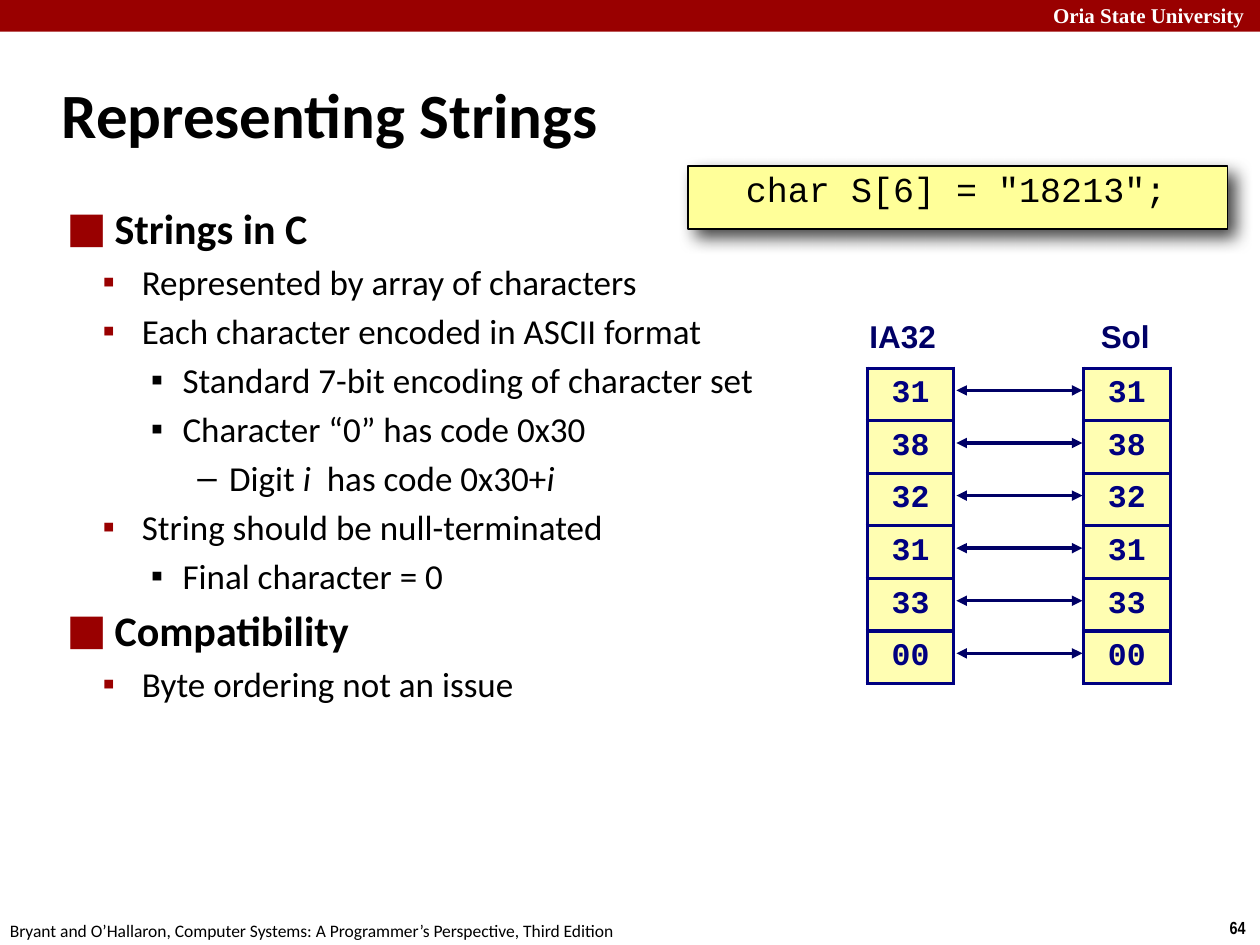
from dataclasses import dataclass

from lxml import etree
from pptx import Presentation
from pptx.dml.color import RGBColor
from pptx.enum.shapes import MSO_CONNECTOR, MSO_SHAPE
from pptx.enum.text import MSO_ANCHOR, MSO_AUTO_SIZE, PP_ALIGN
from pptx.oxml.ns import qn
from pptx.util import Cm, Pt

LEFT, CENTER = PP_ALIGN.LEFT, PP_ALIGN.CENTER
TOP, MIDDLE = MSO_ANCHOR.TOP, MSO_ANCHOR.MIDDLE
RECTANGLE, STRAIGHT = MSO_SHAPE.RECTANGLE, MSO_CONNECTOR.STRAIGHT
NO_AUTOFIT = MSO_AUTO_SIZE.NONE


@dataclass(frozen=True)
class Theme:
    red: str = "990000"
    black: str = "000000"
    white: str = "FFFFFF"
    code_fill: str = "FFFF99"
    byte_fill: str = "FFFEB2"
    byte_ink: str = "000080"
    label_ink: str = "000066"
    body_font: str = "Calibri"
    code_font: str = "Courier New"
    label_font: str = "Arial"
    bullet_font: str = "Arial"
    title_size: float = 36
    heading_size: float = 24
    body_size: float = 20
    byte_size: float = 18
    header_size: float = 12
    footer_size: float = 10


THEME = Theme()
PLAIN_INSETS = (0.25, 0.13, 0.25, 0.13)

# Outline levels: left margin and hanging indent in cm, bullet, its colour and percent size
LEVELS = (
    (0.97, -0.97, "■", THEME.red, 160),
    (1.52, -0.79, "▪", THEME.red, 100),
    (2.34, -0.64, "▪", THEME.black, 100),
    (3.28, -0.64, "–", THEME.black, 100),
)

# Level and runs; every second run is italic
OUTLINE = (
    (0, ["Strings in C"]),
    (1, ["Represented by array of characters"]),
    (1, ["Each character encoded in ASCII format"]),
    (2, ["Standard 7-bit encoding of character set"]),
    (2, ["Character “0” has code 0x30"]),
    (3, ["Digit ", "i", "  has code 0x30+", "i"]),
    (1, ["String should be null-terminated"]),
    (2, ["Final character = 0"]),
    (0, ["Compatibility"]),
    (1, ["Byte ordering not an issue"]),
)

STRING_BYTES = ("31", "38", "32", "31", "33", "00")
ROW_HEIGHT = 1.06


def rgb(color):
    return RGBColor.from_string(color)


def set_font(paragraph, name, size, color, bold=False):
    font = paragraph.font
    font.name, font.size, font.bold = name, Pt(size), bold
    font.color.rgb = rgb(color)


def set_indent(paragraph, margin, indent):
    properties = paragraph._p.get_or_add_pPr()
    properties.set("marL", str(Cm(margin)))
    properties.set("indent", str(Cm(indent)))
    return properties


def set_frame(frame, insets, anchor=TOP, wrap=True):
    frame.auto_size = NO_AUTOFIT
    frame.word_wrap = wrap
    frame.vertical_anchor = anchor
    (frame.margin_left, frame.margin_top,
     frame.margin_right, frame.margin_bottom) = map(Cm, insets)


def add_xml_color(parent, color):
    return etree.SubElement(parent, qn("a:srgbClr"), val=color)


def add_bullet(properties, bullet, color, percent):
    add_xml_color(etree.SubElement(properties, qn("a:buClr")), color)
    etree.SubElement(properties, qn("a:buSzPct"), val=str(percent * 1000))
    etree.SubElement(properties, qn("a:buFont"), typeface=THEME.bullet_font)
    etree.SubElement(properties, qn("a:buChar"), char=bullet)


def add_label(slide, box, text, font, align=LEFT, insets=PLAIN_INSETS):
    frame = slide.shapes.add_textbox(*map(Cm, box)).text_frame
    set_frame(frame, insets, wrap=False)
    paragraph = frame.paragraphs[0]
    paragraph.text = text
    paragraph.alignment = align
    set_font(paragraph, *font)


def add_rectangle(slide, box, fill):
    rectangle = slide.shapes.add_shape(RECTANGLE, *map(Cm, box))
    rectangle.shadow.inherit = False
    rectangle.fill.solid()
    rectangle.fill.fore_color.rgb = rgb(fill)
    rectangle.line.fill.background()
    return rectangle


def add_code(slide, box, text):
    code = add_rectangle(slide, box, THEME.code_fill)
    code.line.color.rgb = rgb(THEME.black)
    code.line.width = Pt(0.75)
    effects = code._element.spPr.find(qn("a:effectLst"))
    shadow = etree.SubElement(
        effects, qn("a:outerShdw"), blurRad=str(Pt(10)), dist=str(Pt(6)),
        dir=str(45 * 60000), algn="tl", rotWithShape="0")
    etree.SubElement(add_xml_color(shadow, THEME.black), qn("a:alpha"), val="74000")
    set_frame(code.text_frame, (0.08, 0.08, 0.18, 0.08))
    paragraph = code.text_frame.paragraphs[0]
    paragraph.text = text
    paragraph.alignment = CENTER
    paragraph.line_spacing = 0.95
    set_indent(paragraph, 1.12, -1.07)
    set_font(paragraph, THEME.code_font, THEME.body_size, THEME.black)


def fill_title(slide, box, text):
    title = slide.shapes.title
    title.left, title.top, title.width, title.height = map(Cm, box)
    set_frame(title.text_frame, PLAIN_INSETS, MIDDLE)
    paragraph = title.text_frame.paragraphs[0]
    paragraph.text = text
    paragraph.alignment = LEFT
    set_indent(paragraph, 0.33, -0.33)
    set_font(paragraph, THEME.body_font, THEME.title_size, THEME.black, True)


def add_outline(slide, box, items):
    frame = slide.shapes.add_textbox(*map(Cm, box)).text_frame
    set_frame(frame, PLAIN_INSETS)
    for index, (level, texts) in enumerate(items):
        paragraph = frame.add_paragraph() if index else frame.paragraphs[0]
        margin, indent, *bullet = LEVELS[level]
        heading = level == 0
        paragraph.level = level
        paragraph.space_before = Pt((4.8 if heading else 4) if index else 0)
        add_bullet(set_indent(paragraph, margin, indent), *bullet)
        size = THEME.heading_size if heading else THEME.body_size
        set_font(paragraph, THEME.body_font, size, THEME.black, heading)
        for position, text in enumerate(texts):
            run = paragraph.add_run()
            run.text = text
            if position % 2:
                run.font.italic = True


def set_borders(cell, color, width):
    properties = cell._tc.get_or_add_tcPr()
    for index, side in enumerate(("a:lnL", "a:lnR", "a:lnT", "a:lnB")):
        border = etree.Element(qn(side), w=str(Pt(width)))
        add_xml_color(etree.SubElement(border, qn("a:solidFill")), color)
        properties.insert(index, border)


def add_byte_column(slide, left, top, values):
    table = slide.shapes.add_table(
        len(values), 1, Cm(left), Cm(top), Cm(1.75), Cm(ROW_HEIGHT * len(values))).table
    table.first_row = table.horz_banding = False
    for row, value in enumerate(values):
        cell = table.cell(row, 0)
        cell.fill.solid()
        cell.fill.fore_color.rgb = rgb(THEME.byte_fill)
        set_borders(cell, THEME.byte_ink, 2)
        cell.vertical_anchor = MIDDLE
        cell.margin_left = cell.margin_right = Cm(0.15)
        cell.margin_top = cell.margin_bottom = Cm(0.15)
        paragraph = cell.text_frame.paragraphs[0]
        paragraph.text = value
        paragraph.alignment = CENTER
        set_font(paragraph, THEME.code_font, THEME.byte_size, THEME.byte_ink, True)


def add_double_arrow(slide, left, right, y):
    arrow = slide.shapes.add_connector(STRAIGHT, Cm(left), Cm(y), Cm(right), Cm(y))
    arrow.line.color.rgb = rgb(THEME.label_ink)
    arrow.line.width = Pt(2)
    for end in ("a:headEnd", "a:tailEnd"):
        etree.SubElement(arrow.line._get_or_add_ln(), qn(end), type="triangle")
    etree.SubElement(arrow._element.spPr, qn("a:effectLst"))


def main():
    deck = Presentation()
    deck.slide_width, deck.slide_height = Cm(25.4), Cm(19.05)
    slide = deck.slides.add_slide(deck.slide_layouts[5])
    # Header band and footer
    add_rectangle(slide, (0, 0, 25.4, 0.64), THEME.red)
    add_label(slide, (20.98, -0.08, 4.39, 0.76), "Oria State University",
              ("Times New Roman", THEME.header_size, THEME.white, True))
    add_label(slide, (24.54, 18.36, 0.86, 0.69), "64",
              ("Arial Narrow", THEME.footer_size, THEME.black, True))
    add_label(slide, (-0.05, 18.42, 12.9, 0.69),
              "Bryant and O’Hallaron, Computer Systems: A Programmer’s Perspective, Third Edition",
              (THEME.body_font, THEME.footer_size, THEME.black))
    # Title, declaration and outline
    add_code(slide, (13.87, 3.35, 10.87, 1.27), 'char S[6] = "18213";')
    fill_title(slide, (0.99, 1.22, 21.08, 2.11), "Representing Strings")
    add_outline(slide, (1.09, 3.96, 21.95, 13.82), OUTLINE)
    # Matching bytes on both machines
    for row in range(len(STRING_BYTES)):
        add_double_arrow(slide, 19.28, 21.82, 7.87 + row * ROW_HEIGHT)
    machines = (("IA32", 17.37, 1.75, 17.48), ("Sol", 21.92, 1.63, 21.84))
    for machine, label_left, label_width, column_left in machines:
        add_label(slide, (label_left, 6.25, label_width, 1.07), machine,
                  (THEME.label_font, THEME.byte_size, THEME.label_ink, True),
                  CENTER, (0.15, 0.15, 0.25, 0.15))
        add_byte_column(slide, column_left, 7.42, STRING_BYTES)
    deck.save("out.pptx")


if __name__ == "__main__":
    main()
